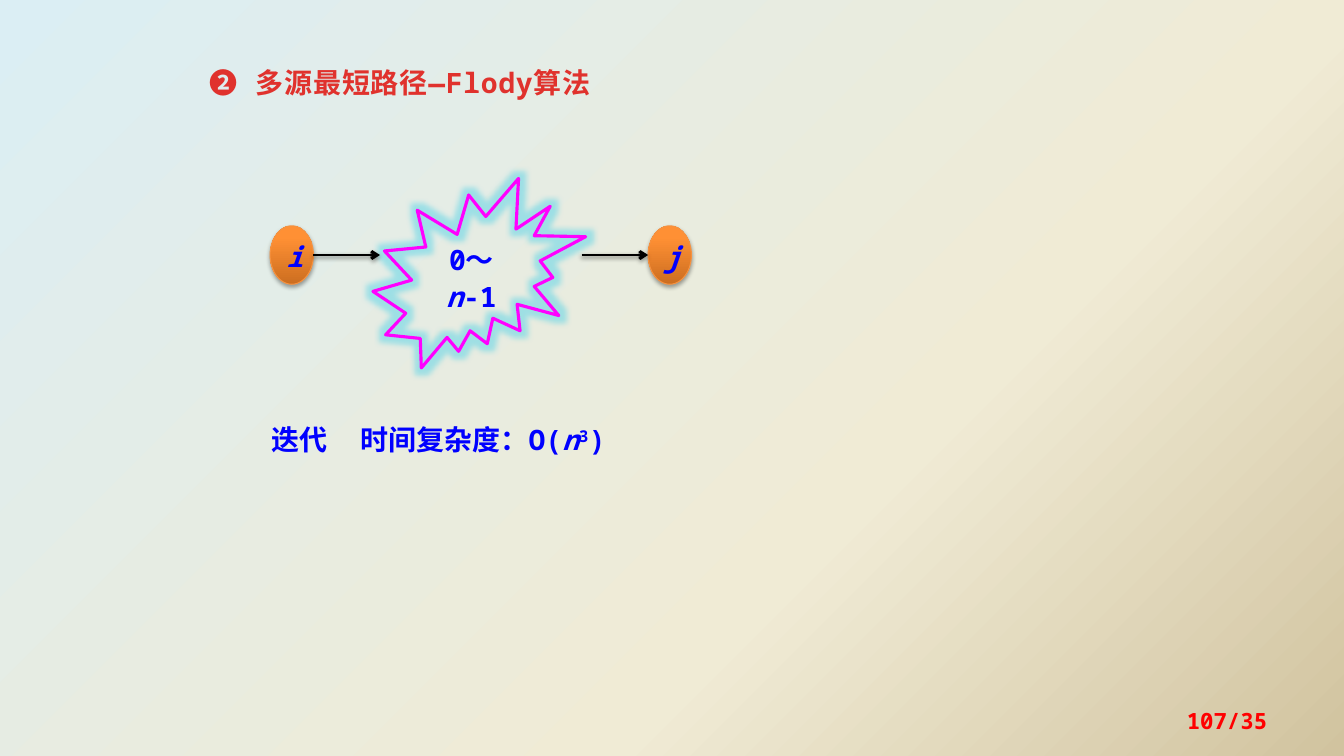
from lxml.etree import SubElement as sub_element
from pptx import Presentation
from pptx.dml.color import RGBColor as Color
from pptx.enum.shapes import MSO_CONNECTOR as Connector, MSO_SHAPE as Shape
from pptx.enum.text import MSO_ANCHOR as Anchor, MSO_AUTO_SIZE as AutoSize, PP_ALIGN as Align
from pptx.oxml import parse_xml
from pptx.oxml.ns import nsdecls, qn
from pptx.util import Emu, Inches, Pt

FONT = "Noto Sans Mono"
CELL = Inches(1 / 6)
COLUMNS, ROWS = 80, 45
NODE_TOP, NODE_WIDTH, NODE_HEIGHT = 13.44, 2.58, 3.48
NODE_LEFTS = {"i": 16.08, "j": 38.58}
ARROW_LENGTH = 3.96
COLORS = {
    "blue": "0000FF", "red": "FF0000", "magenta": "FF00FF",
    "black": "000000", "orange": "F69240", "glow": "46D0E8",
}
GRADIENTS = {
    "background": [(0, "DBEEF4"), (65, "F0EBD5"), (100, "D1C39F")],
    "title": [(25, "E0322D"), (100, "A2201C")],
    "node": [(0, "CC6E20"), (80, "FF9034"), (100, "FF9136")],
}


def cells(*counts):
    """Convert counts of grid cells to lengths."""
    return [Emu(round(count * CELL)) for count in counts]


def color(name):
    """Return a named colour."""
    return Color.from_string(COLORS[name])


def gradient(name, angle):
    """Return a linear gradient fill element."""
    stops = "".join(
        f'<a:gs pos="{place * 1000}"><a:srgbClr val="{value}"/></a:gs>'
        for place, value in GRADIENTS[name])
    return parse_xml(
        f'<a:gradFill {nsdecls("a")} rotWithShape="1"><a:gsLst>{stops}</a:gsLst>'
        f'<a:lin ang="{angle * 60000}" scaled="0"/></a:gradFill>')


def add_effect(shape, kind, name, opacity, **attributes):
    """Give a shape one glow or shadow effect."""
    properties = shape._element.spPr
    for old in properties.findall(qn("a:effectLst")):
        properties.remove(old)
    effects = sub_element(properties, qn("a:effectLst"))
    effect = sub_element(effects, qn(f"a:{kind}"),
                         {key: str(value) for key, value in attributes.items()})
    tint = sub_element(effect, qn("a:srgbClr"), val=COLORS[name])
    sub_element(tint, qn("a:alpha"), val=str(opacity * 1000))


def add_shadow(shape, opacity, distance):
    """Drop a soft black shadow straight down."""
    add_effect(shape, "outerShdw", "black", opacity, blurRad=Pt(3.1),
               dist=Pt(distance), dir=5400000, rotWithShape=0)


def write_text(shape, *runs, size=20, ink="blue", bold=True, align=Align.LEFT,
               anchor=Anchor.TOP, line_spacing=None, letter_spacing=None, tab=None):
    """Write one paragraph from (text, style) runs, style being '', 'italic' or 'super'."""
    frame = shape.text_frame
    frame.word_wrap = True
    frame.vertical_anchor = anchor
    paragraph = frame.paragraphs[0]
    if tab:
        tabs = sub_element(paragraph._p.get_or_add_pPr(), qn("a:tabLst"))
        sub_element(tabs, qn("a:tab"), pos=str(cells(tab)[0]), algn="l")
    paragraph.alignment = align
    if line_spacing:
        paragraph.line_spacing = line_spacing
    for text, style in runs:
        run = paragraph.add_run()
        run.text = text
        font = run.font
        font.name, font.size, font.bold = FONT, Pt(size), bold
        font.italic = style == "italic"
        properties = run._r.get_or_add_rPr()
        sub_element(properties, qn("a:ea"), typeface=FONT)
        if ink in GRADIENTS:
            properties.insert(0, gradient(ink, 90))
        else:
            font.color.rgb = color(ink)
        if style == "super":
            properties.set("baseline", "30000")
        if letter_spacing:
            properties.set("spc", str(round(letter_spacing * 100)))


def add_text(slide, place, *runs, grow=True, **style):
    """Add a text box on the grid."""
    box = slide.shapes.add_textbox(*cells(*place))
    write_text(box, *runs, **style)
    if grow:
        box.text_frame.auto_size = AutoSize.SHAPE_TO_FIT_TEXT


def add_node(slide, label, left):
    """Add a round graph vertex."""
    node = slide.shapes.add_shape(
        Shape.OVAL, *cells(left, NODE_TOP, NODE_WIDTH, NODE_HEIGHT))
    node.fill.background()
    properties = node._element.spPr
    properties.replace(properties.find(qn("a:noFill")), gradient("node", 270))
    node.line.color.rgb = color("orange")
    node.line.width = Pt(0.75)
    add_shadow(node, 35, 1.8)
    write_text(node, (label, "italic"), align=Align.CENTER,
               anchor=Anchor.MIDDLE, line_spacing=1.1)


def add_burst(slide):
    """Add the glowing star that holds the intermediate vertices."""
    burst = slide.shapes.add_shape(Shape.EXPLOSION2, *cells(22.2, 10.62, 12.66, 11.28))
    burst.fill.background()
    burst.line.color.rgb = color("magenta")
    burst.line.width = Pt(2.25)
    add_effect(burst, "glow", "glow", 45, rad=Pt(8))
    burst.text_frame.margin_left = burst.text_frame.margin_right = 0
    write_text(burst, ("0～", ""), ("n", "italic"), ("-1", ""), align=Align.CENTER,
               anchor=Anchor.MIDDLE, line_spacing=1.1)


def add_arrow(slide, left):
    """Add an arrow to the right at the height of the vertices' centres."""
    middle = NODE_TOP + NODE_HEIGHT / 2
    arrow = slide.shapes.add_connector(
        Connector.STRAIGHT, *cells(left, middle, left + ARROW_LENGTH, middle))
    arrow.line.color.rgb = color("black")
    arrow.line.width = Pt(2)
    sub_element(arrow.line._get_or_add_ln(), qn("a:tailEnd"), type="arrow")
    add_shadow(arrow, 38, 1.6)


def main():
    """Build and save the slide."""
    presentation = Presentation()
    presentation.slide_width, presentation.slide_height = cells(COLUMNS, ROWS)
    slide = presentation.slides.add_slide(presentation.slide_layouts[6])
    slide.background.fill.solid()
    background = slide.background._cSld.bg.bgPr
    background.replace(background.find(qn("a:solidFill")), gradient("background", 45))

    add_text(slide, (11.88, 3.12, 35.64, 3.12), ("❷ 多源最短路径―Flody算法", ""),
             ink="title", line_spacing=Pt(30), letter_spacing=0.5)
    for label, left in NODE_LEFTS.items():
        add_node(slide, label, left)
    add_burst(slide)
    add_arrow(slide, NODE_LEFTS["i"] + NODE_WIDTH)
    add_arrow(slide, NODE_LEFTS["j"] - ARROW_LENGTH)
    add_text(slide, (15.6, 24.36, 25.8, 2.88), ("迭代\t时间复杂度：O(", ""),
             ("n", "italic"), ("3", "super"), (")", ""),
             line_spacing=Pt(30), tab=5.25)
    add_text(slide, (57.36, 41.7, 18.66, 2.4), ("107/35", ""), grow=False,
             size=16, ink="red", align=Align.RIGHT, anchor=Anchor.MIDDLE)
    presentation.save("out.pptx")


if __name__ == "__main__":
    main()
